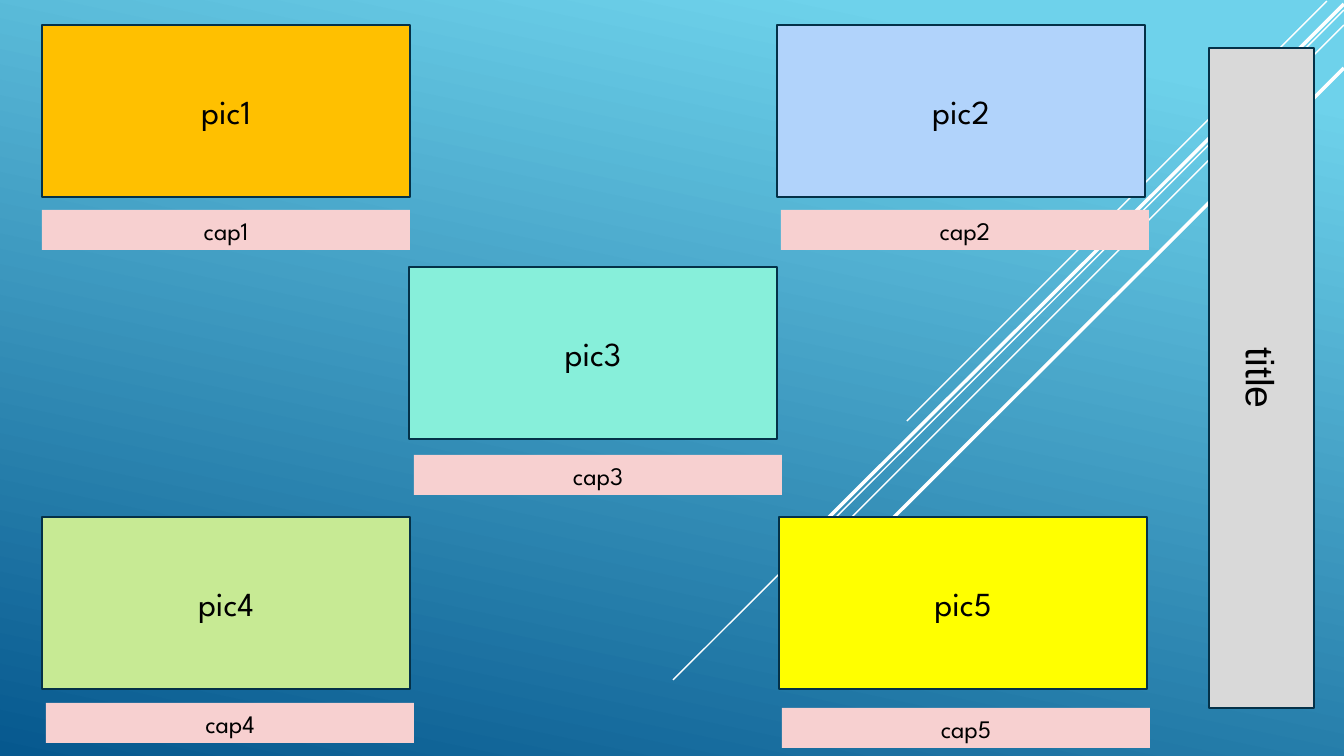
from dataclasses import dataclass
from lxml.etree import SubElement
from pptx import Presentation
from pptx.dml.color import RGBColor
from pptx.enum.shapes import MSO_CONNECTOR, MSO_SHAPE
from pptx.enum.text import MSO_ANCHOR, MSO_AUTO_SIZE, PP_ALIGN
from pptx.oxml.ns import qn
from pptx.util import Emu, Pt


@dataclass(frozen=True)
class Theme:
    sky: str = "6ED2EB"
    deep: str = "06588E"
    ray: str = "FFFFFF"
    outline: str = "043148"
    text: str = "000000"
    title: str = "D9D9D9"
    caption: str = "F7D0D0"
    body_font: str = "League Spartan"
    title_font: str = "Arial"
    title_size: int = 28
    pic_size: int = 24
    cap_size: int = 18
    border: float = 1.25


THEME = Theme()
EMU_PER_PX = 914400 / 100.8
WIDTH, HEIGHT = 1344, 756
PIC_W, PIC_H, CAP_H = 368, 172, 40

RAYS = [
    (1327, 1, 907, 421, 1),
    (1344, 10, 673, 680, 1),
    (1344, 25, 797, 572, 1),
    (1344, 4, 808, 538, 2.5),
    (1344, 68, 865, 546, 2.5),
]
PANELS = [
    (1, (42, 25), (42, 210), "FFC000"),
    (2, (777, 25), (781, 210), "B1D3FB"),
    (3, (409, 267), (414, 455), "87EFDA"),
    (4, (42, 517), (46, 703), "C7EA94"),
    (5, (779, 517), (782, 708), "FFFF00"),
]


def px(n):
    return Emu(round(n * EMU_PER_PX))


def rgb(code):
    return RGBColor.from_string(code)


def paint_background(s):
    fill = s.background.fill
    fill.gradient()
    fill.gradient_angle = 258
    stops = zip(fill.gradient_stops, (THEME.sky, THEME.deep), (0.1, 1))
    for stop, color, position in stops:
        stop.color.rgb = rgb(color)
        stop.position = position


def add_ray(s, x1, y1, x2, y2, weight):
    line = s.shapes.add_connector(MSO_CONNECTOR.STRAIGHT, px(x1), px(y1), px(x2), px(y2))
    line.line.color.rgb = rgb(THEME.ray)
    line.line.width = Pt(weight)
    SubElement(line._element.spPr, qn("a:effectLst"))


def write(sp, text, font, size):
    tf = sp.text_frame
    tf.word_wrap = True
    tf.text = text
    p = tf.paragraphs[0]
    p.alignment = PP_ALIGN.CENTER
    r = p.runs[0]
    r.font.name = font
    r.font.size = Pt(size)
    r.font.color.rgb = rgb(THEME.text)
    return tf


def add_box(s, text, x, y, w, h, fill, font, size):
    sp = s.shapes.add_shape(MSO_SHAPE.RECTANGLE, px(x), px(y), px(w), px(h))
    sp.shadow.inherit = False
    sp.fill.solid()
    sp.fill.fore_color.rgb = rgb(fill)
    sp.line.color.rgb = rgb(THEME.outline)
    sp.line.width = Pt(THEME.border)
    tf = write(sp, text, font, size)
    tf.vertical_anchor = MSO_ANCHOR.MIDDLE
    return tf


def add_title(s, text):
    tf = add_box(s, text, 1209, 48, 105, 660, THEME.title, THEME.title_font, THEME.title_size)
    tf._txBody.bodyPr.set("vert", "vert")


def add_caption(s, text, x, y):
    sp = s.shapes.add_textbox(px(x), px(y), px(PIC_W), px(CAP_H))
    sp.fill.solid()
    sp.fill.fore_color.rgb = rgb(THEME.caption)
    tf = write(sp, text, THEME.body_font, THEME.cap_size)
    tf.auto_size = MSO_AUTO_SIZE.SHAPE_TO_FIT_TEXT


def main():
    prs = Presentation()
    prs.slide_width, prs.slide_height = px(WIDTH), px(HEIGHT)
    s = prs.slides.add_slide(prs.slide_layouts[6])
    paint_background(s)
    for ray in RAYS:
        add_ray(s, *ray)
    add_title(s, "title")
    for number, pic, cap, color in PANELS:
        add_box(s, f"pic{number}", *pic, PIC_W, PIC_H, color, THEME.body_font, THEME.pic_size)
        add_caption(s, f"cap{number}", *cap)
    prs.save("out.pptx")


main()
